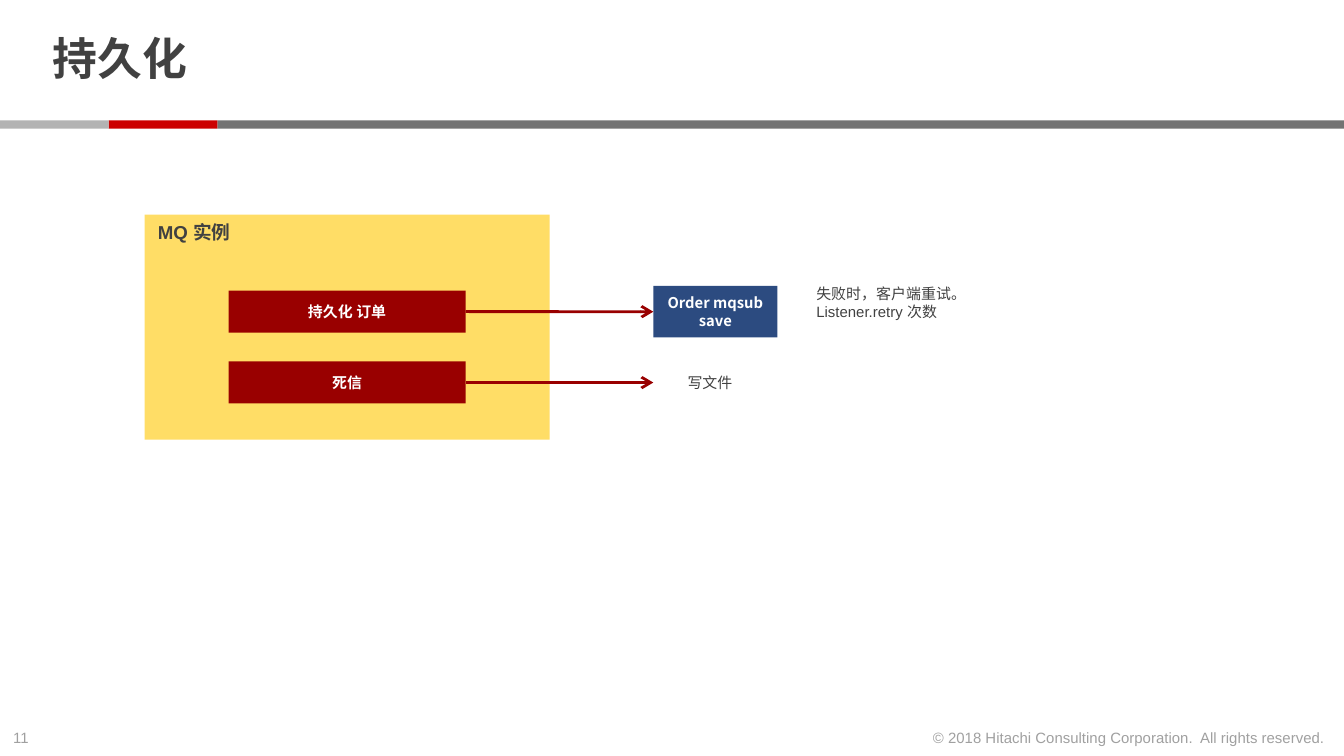
from lxml import etree
from pptx import Presentation
from pptx import util as u
from pptx.dml.color import RGBColor
from pptx.enum import shapes, text
from pptx.oxml import ns

Pt = u.Pt
COLORS = {
    "text": "414141",
    "muted": "A0A0A0",
    "white": "FFFFFF",
    "gray": "737373",
    "light_gray": "B3B3B3",
    "red": "CC0000",
    "dark_red": "990000",
    "yellow": "FFDD66",
    "blue": "2C4B80",
}
LEFT, CENTER, RIGHT = text.PP_ALIGN.LEFT, text.PP_ALIGN.CENTER, text.PP_ALIGN.RIGHT
TOP, MIDDLE = text.MSO_ANCHOR.TOP, text.MSO_ANCHOR.MIDDLE


def rgb(name):
    return RGBColor.from_string(COLORS[name])


def write(shape, lines, size=8, color="text", bold=False, align=LEFT,
          anchor=MIDDLE, wrap=True, font="Arial"):
    frame = shape.text_frame
    frame.word_wrap = wrap
    frame.vertical_anchor = anchor
    frame.text = lines
    for paragraph in frame.paragraphs:
        paragraph.alignment = align
        paragraph.font.name = font
        paragraph.font.size = Pt(size)
        paragraph.font.bold = bold
        paragraph.font.color.rgb = rgb(color)
    return frame


def add_block(slide, box, fill):
    shape = slide.shapes.add_shape(shapes.MSO_SHAPE.RECTANGLE, *map(Pt, box))
    shape.shadow.inherit = False
    shape.fill.solid()
    shape.fill.fore_color.rgb = rgb(fill)
    shape.line.fill.background()
    return shape


def add_label(slide, box, lines, **style):
    return write(slide.shapes.add_textbox(*map(Pt, box)), lines, **style)


def add_arrow(slide, source, end_x, target=None):
    middle = source.top + source.height // 2
    connector = slide.shapes.add_connector(
        shapes.MSO_CONNECTOR.STRAIGHT, source.left + source.width, middle, Pt(end_x), middle)
    connector.begin_connect(source, 3)
    if target is not None:
        connector.end_connect(target, 1)
    connector.line.color.rgb = rgb("dark_red")
    connector.line.width = Pt(1.5)
    etree.SubElement(connector.line._get_or_add_ln(), ns.qn("a:tailEnd"), type="arrow")
    etree.SubElement(connector._element.spPr, ns.qn("a:effectLst"))


def add_header(slide, box, title):
    left, top, width, height = box
    accent, bar = 58.25, 4.5
    bar_top = top + height - bar
    add_block(slide, (left + 2 * accent, bar_top, width - 2 * accent, bar), "gray")
    add_block(slide, (left + accent, bar_top, accent, bar), "red")
    add_block(slide, (left, bar_top, accent, bar), "light_gray")
    frame = add_label(slide, (left + 21, top + 4.5, 555, 57.5), title, size=24, bold=True)
    frame.margin_top = frame.margin_bottom = 0
    frame.paragraphs[0].line_spacing = 0.85


def add_instance(slide, box, title, queue_names):
    left, top, width, height = box
    panel = add_block(slide, box, "yellow")
    write(panel, title, size=10, bold=True, anchor=TOP)
    queues = []
    for row, name in enumerate(queue_names):
        queue = add_block(slide, (left + 45, top + 40.7 + 38 * row, 127, 22.5), "dark_red")
        write(queue, name, color="white", bold=True, align=CENTER)
        queues.append(queue)
    return queues


def add_handlers(slide, box, queues):
    left, top, width, height = box
    order_queue, dead_queue = queues
    handler = add_block(slide, (left, top, 66.5, 27.5), "blue")
    write(handler, "Order mqsub save", size=7.9, color="white", bold=True,
          align=CENTER, font="Noto Sans CJK SC")
    add_arrow(slide, order_queue, left, handler)
    add_label(slide, (left + 80.25, top - 4.5, width - 80.25, 27),
              "失败时，客户端重试。\nListener.retry 次数")
    add_arrow(slide, dead_queue, left)
    add_label(slide, (left + 11.25, top + height - 17.5, 44, 17.5), "写文件")


def add_footer(slide, box, number, notice):
    left, top, width, height = box
    add_label(slide, (left, top, 24.5, height), number, color="muted", anchor=TOP, wrap=False)
    add_label(slide, (left + width - 231, top, 228, height), notice,
              color="muted", align=RIGHT, anchor=TOP, wrap=False)


def main():
    presentation = Presentation()
    presentation.slide_width, presentation.slide_height = Pt(720), Pt(405)
    slide = presentation.slides.add_slide(presentation.slide_layouts[6])
    add_footer(slide, (0, 387, 720, 17), "11",
               "© 2018 Hitachi Consulting Corporation.  All rights reserved.")
    add_header(slide, (0, 0, 720, 69), "持久化")
    queues = add_instance(slide, (77.5, 115, 217, 120.5), "MQ 实例", ["持久化 订单", "死信"])
    add_handlers(slide, (350, 153.25, 211.5, 60.5), queues)
    presentation.save("out.pptx")


if __name__ == "__main__":
    main()
